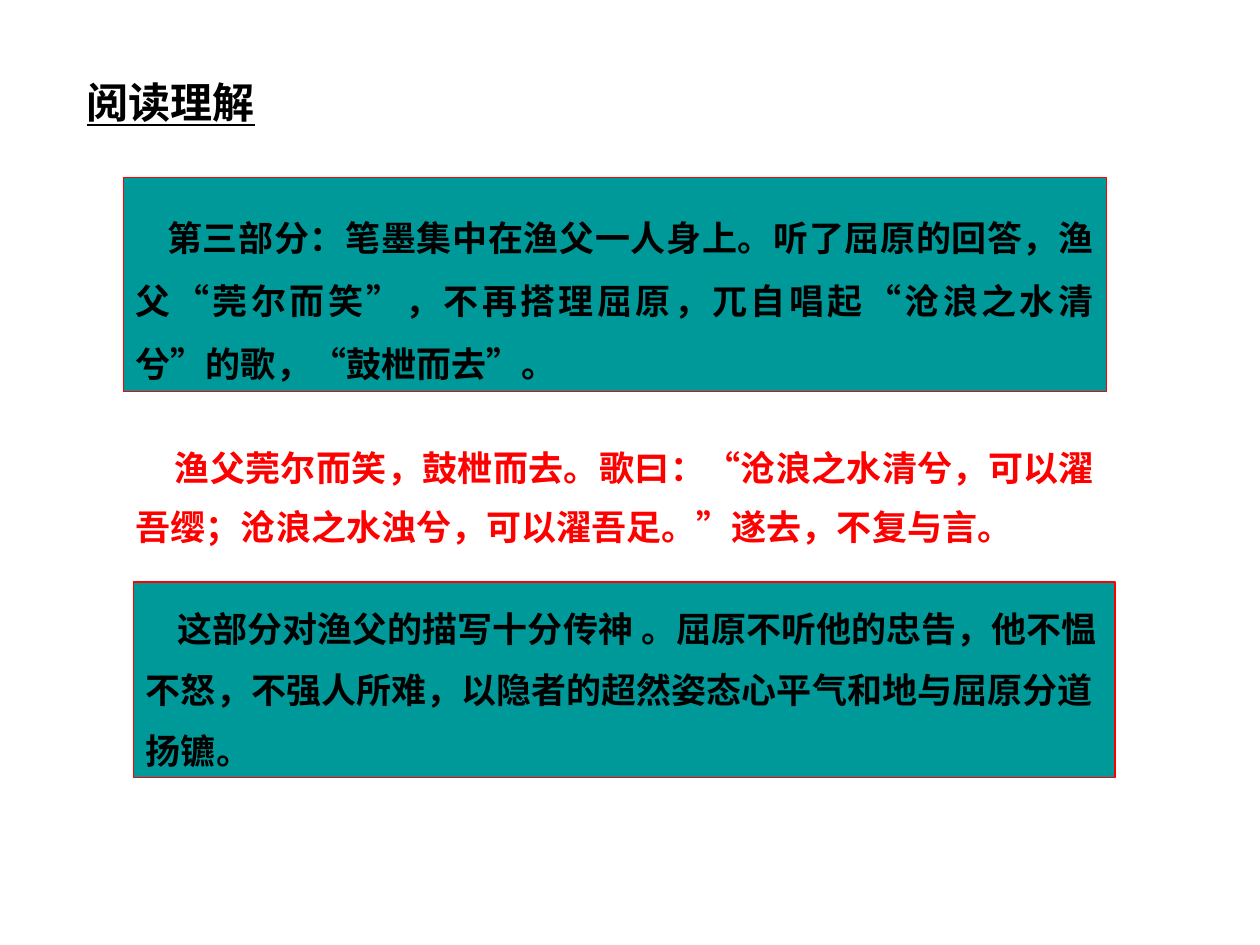
import pptx
import pptx.util
import pptx.dml.color
import pptx.enum.shapes
import pptx.enum.text
import pptx.oxml.ns
import lxml.etree

Inches = pptx.util.Inches
Pt = pptx.util.Pt
RGBColor = pptx.dml.color.RGBColor
ALIGN = pptx.enum.text.PP_ALIGN

TEAL = RGBColor(0x00, 0x99, 0x99)
RED = RGBColor(0xFF, 0x00, 0x00)
BLACK = RGBColor(0x00, 0x00, 0x00)
HAN = "Noto Sans CJK SC"

TITLE = "阅读理解"
PART = ("第三部分：笔墨集中在渔父一人身上。听了屈原的回答，渔父“莞尔而笑”，"
        "不再搭理屈原，兀自唱起“沧浪之水清兮”的歌，“鼓枻而去”。")
QUOTE = ("渔父莞尔而笑，鼓枻而去。歌曰：“沧浪之水清兮，可以濯吾缨；"
         "沧浪之水浊兮，可以濯吾足。”遂去，不复与言。")
NOTE = ("这部分对渔父的描写十分传神 。屈原不听他的忠告，他不愠不怒，不强人所难，"
        "以隐者的超然姿态心平气和地与屈原分道扬镳。")


def add_panel(slide, *box):
    """Add a teal rectangle with a thin red edge."""
    kind = pptx.enum.shapes.MSO_SHAPE.RECTANGLE
    panel = slide.shapes.add_shape(kind, *map(Inches, box))
    panel.shadow.inherit = False
    panel.fill.solid()
    panel.fill.fore_color.rgb = TEAL
    panel.line.color.rgb = RED
    panel.line.width = Pt(0.75)
    return panel


def add_box(slide, *box):
    return slide.shapes.add_textbox(*map(Inches, box))


def add_text(shape, text, color, size, space, font=HAN, align=ALIGN.LEFT, top=0.05):
    """Fill the shape with one bold paragraph and return its parts."""
    frame = shape.text_frame
    frame.word_wrap = True
    frame.vertical_anchor = pptx.enum.text.MSO_ANCHOR.TOP
    frame.margin_top = Inches(top)
    para = frame.paragraphs[0]
    para.alignment = align
    para.line_spacing = space
    run = para.add_run()
    run.text = text
    run.font.size = Pt(size)
    run.font.bold = True
    run.font.color.rgb = color
    run.font.name = font
    props = run.font._element if hasattr(run.font, "_element") else run._r.get_or_add_rPr()
    east = lxml.etree.SubElement(props, pptx.oxml.ns.qn("a:ea"))
    east.set("typeface", HAN)
    return frame, para, run


def add_body(shape, text, color, space, indent, **style):
    """Add body text whose first line is indented."""
    frame, para, run = add_text(shape, text, color, 20, space, **style)
    frame.auto_size = pptx.enum.text.MSO_AUTO_SIZE.SHAPE_TO_FIT_TEXT
    para.space_before = Pt(12.5)
    para._p.get_or_add_pPr().set("indent", str(Inches(indent)))


def add_title(slide):
    frame, para, run = add_text(add_box(slide, 0.59, 0.36, 4.17, 0.47),
                                TITLE, BLACK, 24, 1.5)
    frame.word_wrap = False
    run.font.underline = True


def main():
    deck = pptx.Presentation()
    deck.slide_width, deck.slide_height = Inches(10), Inches(7.5)
    slide = deck.slides.add_slide(deck.slide_layouts[6])
    add_body(add_panel(slide, 0.98, 1.41, 7.8, 1.7), PART, BLACK, 1.5, 0.25,
             font="Lato", align=ALIGN.JUSTIFY, top=0.14)
    add_body(add_box(slide, 0.98, 3.28, 7.8, 1.13), QUOTE, RED, 1.4, 0.31,
             align=ALIGN.JUSTIFY, top=0.13)
    add_body(add_panel(slide, 1.06, 4.62, 7.79, 1.55), NOTE, BLACK, 1.45, 0.25)
    add_title(slide)
    deck.save("out.pptx")


if __name__ == "__main__":
    main()
